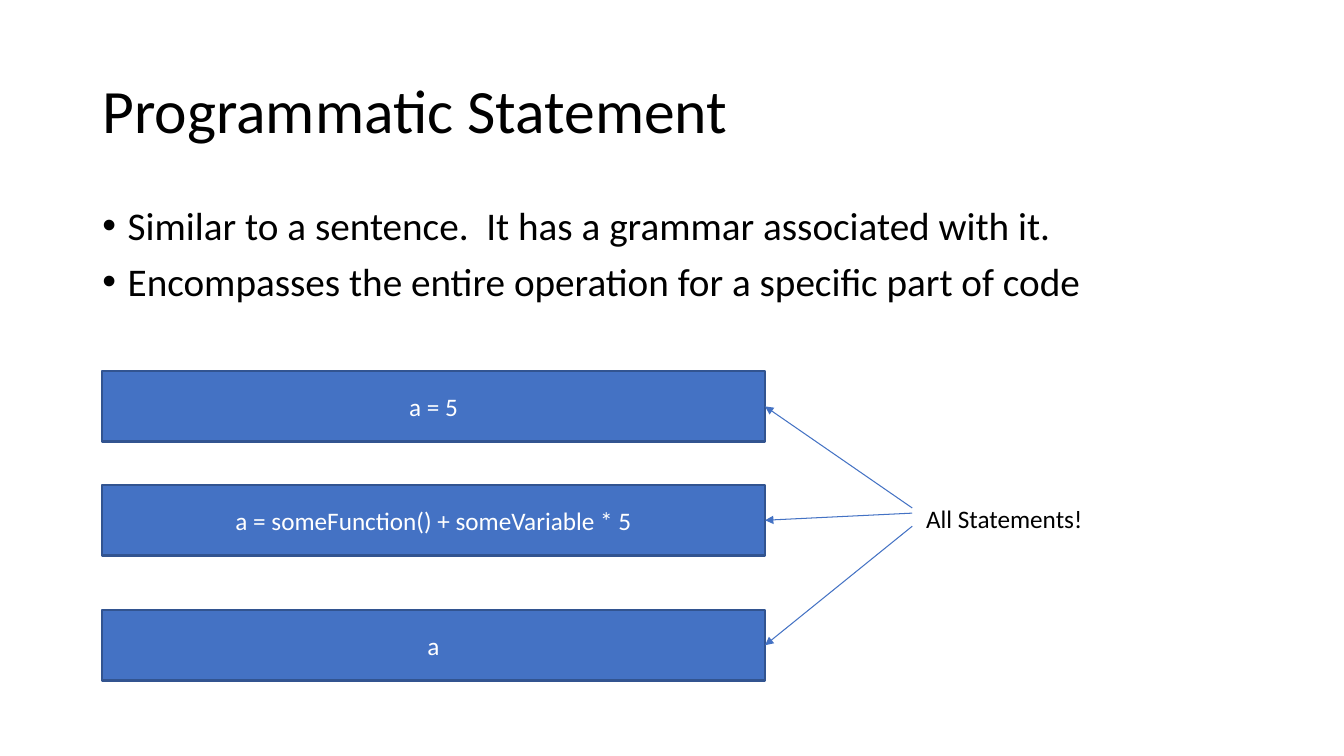
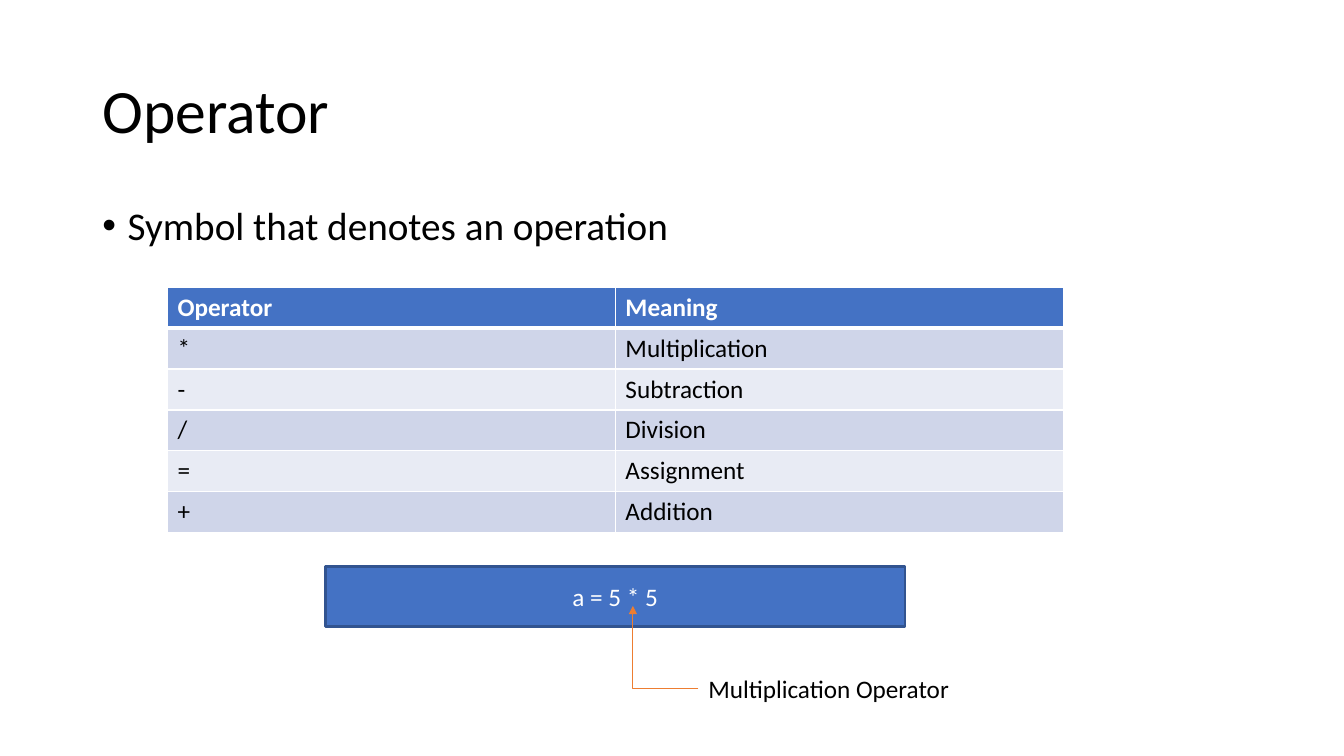
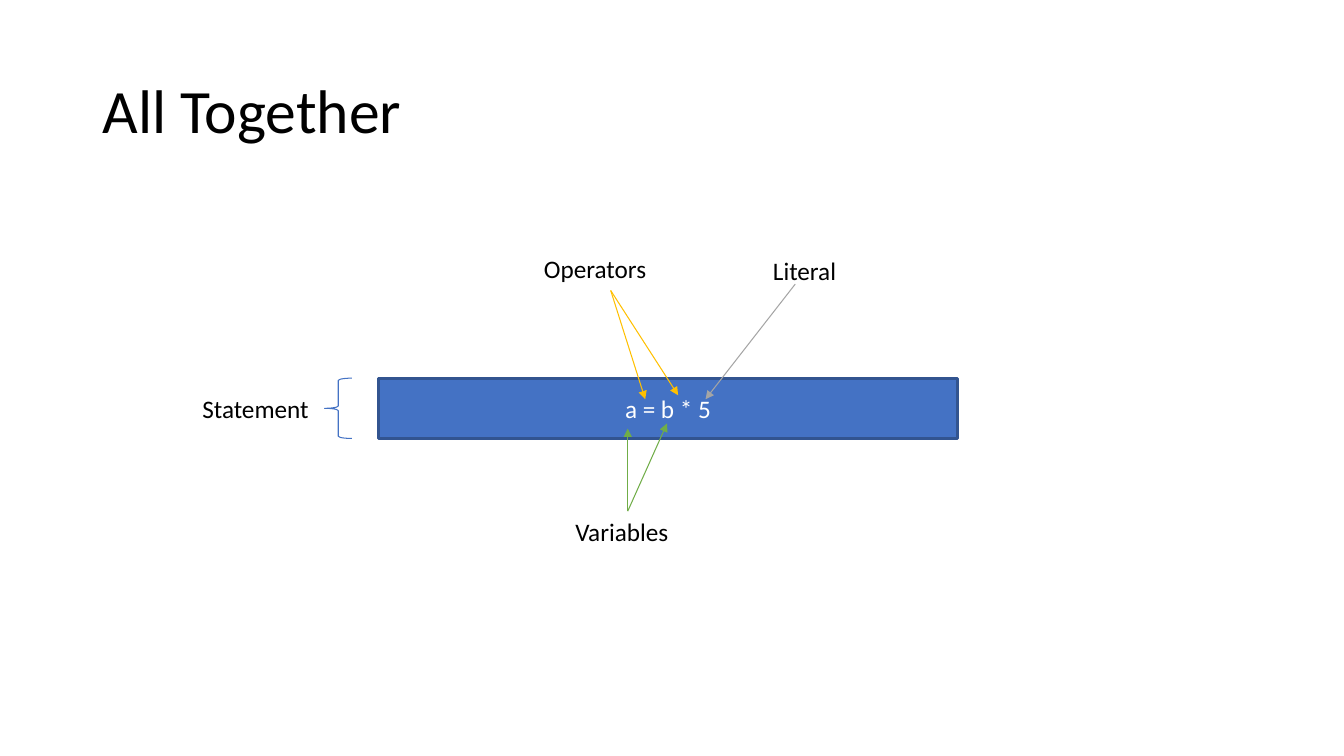
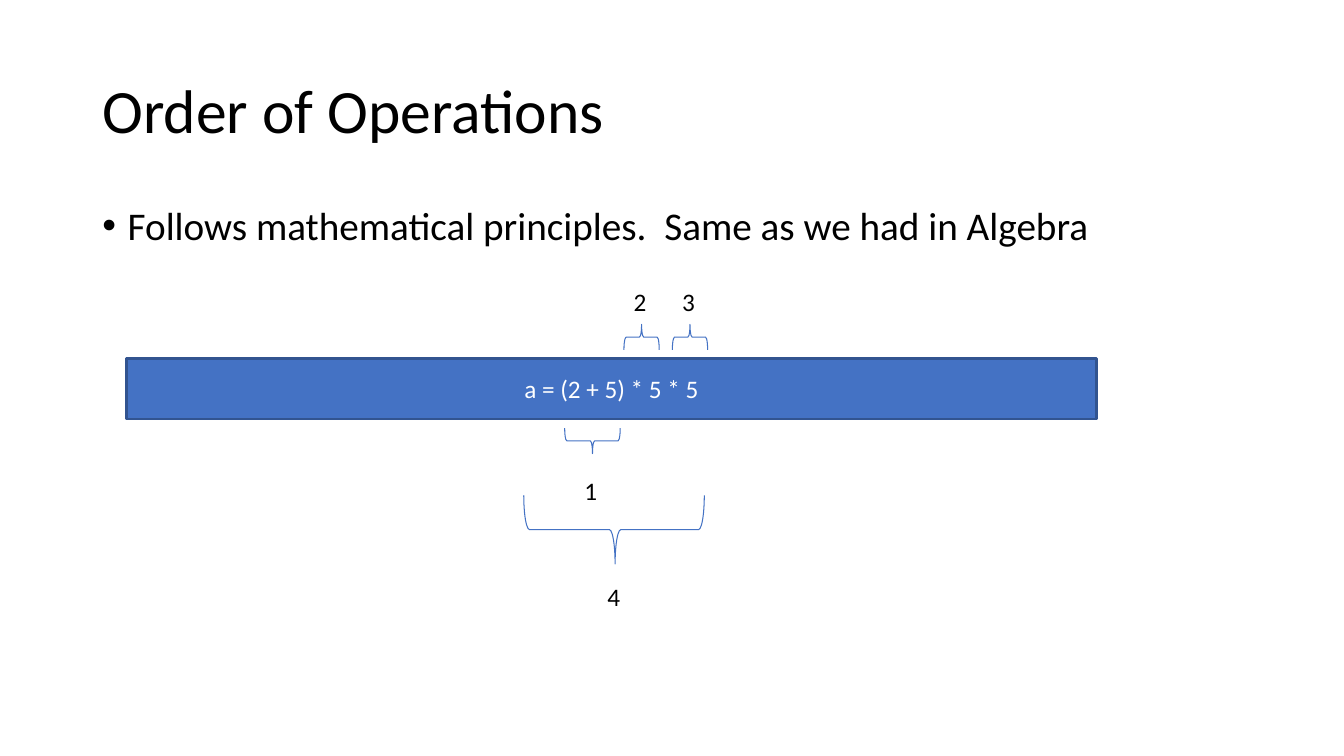
from dataclasses import dataclass

from lxml import etree
from pptx import Presentation
from pptx import util as u
from pptx.dml.color import RGBColor
from pptx.enum import shapes, text
from pptx.oxml import ns


# Colours and type sizes
@dataclass(frozen=True)
class Theme:
    font: str = "Calibri"
    ink: str = "000000"
    paper: str = "FFFFFF"
    blue: str = "4472C4"
    edge: str = "325490"
    orange: str = "ED7D31"
    grey: str = "A5A5A5"
    gold: str = "FFC000"
    green: str = "70AD47"
    bands: tuple = ("CFD5E9", "E8EBF4")
    title_size: float = 44
    bullet_size: float = 28
    text_size: float = 18
    box_line: float = 2
    thin_line: float = 0.75
    grid_line: float = 0.96
    header_line: float = 3


def cm(*lengths):
    return [u.Cm(length) for length in lengths]


class Builder:
    def __init__(self, theme):
        self.theme = theme
        self.deck = Presentation()
        self.deck.slide_width, self.deck.slide_height = cm(33.87, 19.05)
        self.page = None

    # Shared formatting
    def format_text(self, frame, size, color, bold=False):
        for para in frame.paragraphs:
            for span in para.runs:
                span.font.name = self.theme.font
                span.font.size = u.Pt(size)
                span.font.bold = bold
                span.font.color.rgb = RGBColor.from_string(color)

    def format_line(self, line, color, width):
        line.color.rgb = RGBColor.from_string(color)
        line.width = u.Pt(width)

    # Slide with its title
    def start_page(self, heading):
        self.page = self.deck.slides.add_slide(self.deck.slide_layouts[5])
        title = self.page.shapes.title
        title.left, title.top, title.width, title.height = cm(2.33, 1.01, 29.21, 3.68)
        frame = title.text_frame
        frame.text = heading
        frame.word_wrap = True
        frame.auto_size = text.MSO_AUTO_SIZE.NONE
        frame.vertical_anchor = text.MSO_ANCHOR.MIDDLE
        frame.paragraphs[0].alignment = text.PP_ALIGN.LEFT
        frame.paragraphs[0].line_spacing = 0.9
        self.format_text(frame, self.theme.title_size, self.theme.ink)

    def bullets(self, *lines):
        box = self.page.shapes.add_textbox(*cm(2.33, 5.07, 29.21, 12.09))
        frame = box.text_frame
        frame.word_wrap = True
        frame.text = "\n".join(lines)
        for para in frame.paragraphs:
            para.line_spacing = 0.9
            para.space_before = u.Pt(10)
            props = para._p.get_or_add_pPr()
            props.set("marL", str(u.Cm(0.64)))
            props.set("indent", str(-u.Cm(0.64)))
            etree.SubElement(props, ns.qn("a:buFont"), typeface="Arial")
            etree.SubElement(props, ns.qn("a:buChar"), char="•")
        self.format_text(frame, self.theme.bullet_size, self.theme.ink)

    def label(self, wording, left, top, width):
        box = self.page.shapes.add_textbox(*cm(left, top, width, 1.02))
        box.text_frame.word_wrap = True
        box.text_frame.text = wording
        self.format_text(box.text_frame, self.theme.text_size, self.theme.ink)

    def code_bar(self, code, left, top, width, height=1.52):
        bar = self.page.shapes.add_shape(
            shapes.MSO_SHAPE.RECTANGLE, *cm(left, top, width, height))
        bar.shadow.inherit = False
        bar.fill.solid()
        bar.fill.fore_color.rgb = RGBColor.from_string(self.theme.blue)
        self.format_line(bar.line, self.theme.edge, self.theme.box_line)
        frame = bar.text_frame
        frame.text = code
        frame.word_wrap = True
        frame.vertical_anchor = text.MSO_ANCHOR.MIDDLE
        frame.paragraphs[0].alignment = text.PP_ALIGN.CENTER
        self.format_text(frame, self.theme.text_size, self.theme.paper)

    def brace(self, kind, left, top, width, height, rotation=0, tip=0.5):
        brace = self.page.shapes.add_shape(kind, *cm(left, top, width, height))
        brace.shadow.inherit = False
        brace.fill.background()
        self.format_line(brace.line, self.theme.blue, self.theme.thin_line)
        brace.adjustments[1] = tip
        brace.rotation = rotation

    def arrow(self, start, end, color, bent=False):
        kinds = shapes.MSO_CONNECTOR
        arrow = self.page.shapes.add_connector(
            kinds.ELBOW if bent else kinds.STRAIGHT, *cm(*start, *end))
        self.format_line(arrow.line, color, self.theme.thin_line)
        props = arrow.element.spPr
        if bent:
            props.find(ns.qn("a:prstGeom")).set("prst", "bentConnector2")
        etree.SubElement(props.find(ns.qn("a:ln")), ns.qn("a:tailEnd"), type="triangle")
        etree.SubElement(props, ns.qn("a:effectLst"))

    def cell_borders(self, cell, top, bottom):
        props = cell._tc.get_or_add_tcPr()
        thin = self.theme.grid_line
        sides = [("lnL", thin), ("lnR", thin), ("lnT", top), ("lnB", bottom)]
        for place, (side, width) in enumerate(sides):
            border = etree.Element(ns.qn(f"a:{side}"), w=str(u.Pt(width)))
            fill = etree.SubElement(border, ns.qn("a:solidFill"))
            etree.SubElement(fill, ns.qn("a:srgbClr"), val=self.theme.paper)
            props.insert(place, border)

    def table(self, rows, left, top, width, row_height):
        theme = self.theme
        grid = self.page.shapes.add_table(
            len(rows), len(rows[0]),
            *cm(left, top, width, row_height * len(rows))).table
        for r, row in enumerate(rows):
            header = r == 0
            fill = theme.blue if header else theme.bands[(r - 1) % 2]
            for c, wording in enumerate(row):
                cell = grid.cell(r, c)
                cell.text_frame.text = wording
                cell.fill.solid()
                cell.fill.fore_color.rgb = RGBColor.from_string(fill)
                self.format_text(cell.text_frame, theme.text_size,
                                 theme.paper if header else theme.ink, header)
                self.cell_borders(
                    cell,
                    theme.header_line if r == 1 else theme.grid_line,
                    theme.header_line if header else theme.grid_line)


theme = Theme()
build = Builder(theme)
shape_kinds = shapes.MSO_SHAPE

# Programmatic statement
build.start_page("Programmatic Statement")
build.bullets("Similar to a sentence.  It has a grammar associated with it.",
              "Encompasses the entire operation for a specific part of code")
bar_left, bar_width, bar_height = 2.57, 16.71, 1.78
statements = [("a = 5", 9.35, 12.8),
              ("a = someFunction() + someVariable * 5", 12.22, 12.93),
              ("a", 15.37, 13.26)]
for code, top, arrow_top in statements:
    build.code_bar(code, bar_left, top, bar_width, bar_height)
    build.arrow((22.99, arrow_top), (bar_left + bar_width, top + bar_height / 2), theme.blue)
build.label("All Statements!", 23.09, 12.57, 5.36)

# Operator
build.start_page("Operator")
build.bullets("Symbol that denotes an operation")
build.table([("Operator", "Meaning"), ("*", "Multiplication"), ("-", "Subtraction"),
             ("/", "Division"), ("=", "Assignment"), ("+", "Addition")],
            4.22, 7.24, 22.58, 1.03)
build.code_bar("a = 5 * 5", 8.2, 14.27, 14.61)
build.label("Multiplication Operator", 17.6, 16.84, 7.29)
build.arrow((17.6, 17.35), (15.95, 15.27), theme.orange, bent=True)

# All together
build.start_page("All Together")
build.code_bar("a = b * 5", 9.53, 9.53, 14.61)
for name, left, top, width in [("Variables", 14.25, 12.88, 6.05),
                               ("Statement", 4.85, 9.78, 6.05),
                               ("Operators", 13.46, 6.27, 3.89),
                               ("Literal", 19.23, 6.3, 3.89)]:
    build.label(name, left, top, width)
for color, start, ends in [
        (theme.grey, (20.04, 7.16), [(17.78, 10.06)]),
        (theme.gold, (15.39, 7.32), [(17.09, 9.96), (16.26, 10.06)]),
        (theme.green, (15.82, 12.88), [(16.81, 10.67), (15.82, 10.8)])]:
    for end in ends:
        build.arrow(start, end, color)
build.brace(shape_kinds.LEFT_BRACE, 8.18, 9.53, 0.69, 1.52)

# Order of operations
build.start_page("Order of Operations")
build.bullets("Follows mathematical principles.  Same as we had in Algebra")
build.code_bar("a = (2 + 5) * 5 * 5", 3.18, 9.04, 24.46)
build.brace(shape_kinds.RIGHT_BRACE, 14.61, 10.41, 0.64, 1.4, 90)
for left in (15.85, 17.07):
    build.brace(shape_kinds.RIGHT_BRACE, left, 8.05, 0.64, 0.89, 270)
build.brace(shape_kinds.LEFT_BRACE, 14.61, 11.07, 1.73, 4.55, 270, tip=0.506)
for step, left, top in [("1", 14.48, 11.86), ("2", 15.72, 7.09),
                        ("3", 16.94, 7.09), ("4", 15.06, 14.53)]:
    build.label(step, left, top, 0.79)

build.deck.save("out.pptx")
